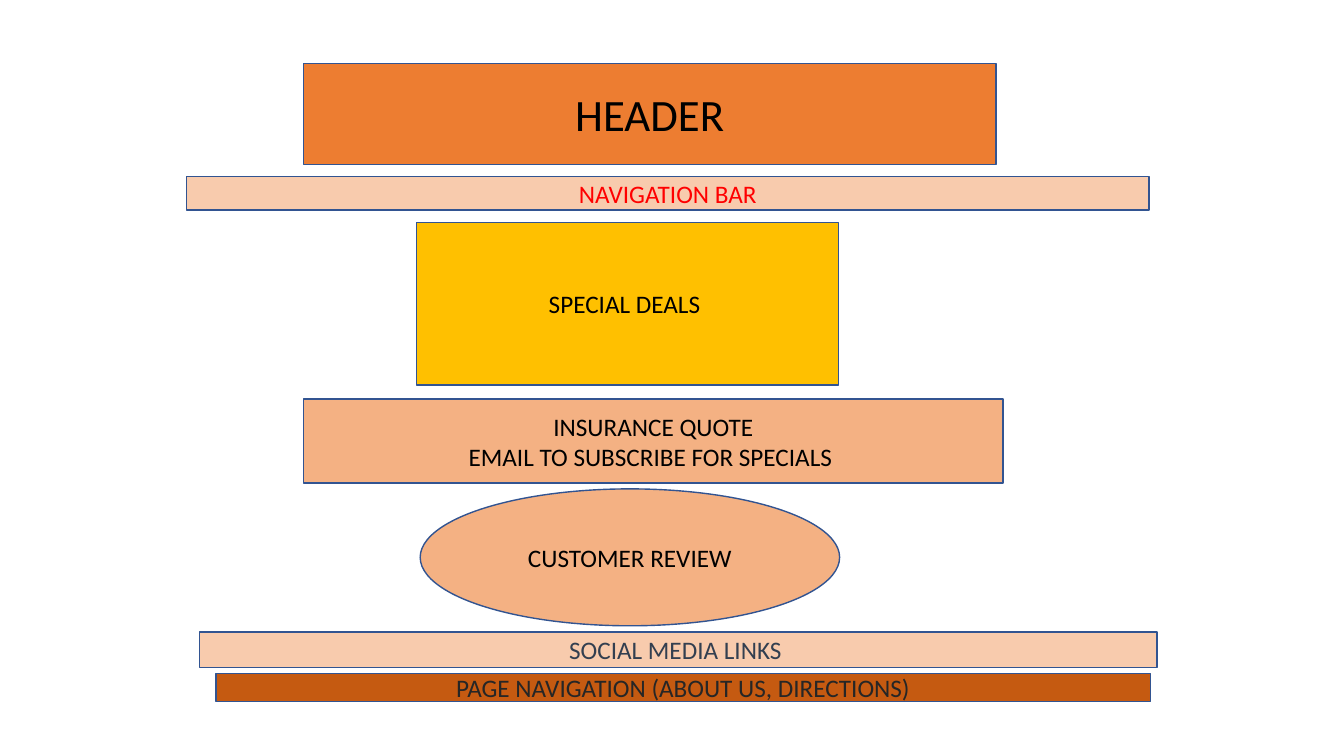
from pptx import Presentation
from pptx.dml.color import RGBColor
from pptx.enum.shapes import MSO_SHAPE
from pptx.enum.text import MSO_ANCHOR, PP_ALIGN
from pptx.util import Cm, Pt

BLACK = "000000"
PEACH = "F8CBAD"
APRICOT = "F4B183"


def color(hex_text):
    return RGBColor.from_string(hex_text)


def add_text(para, text, size=18, ink=BLACK, font="Calibri"):
    para.alignment = PP_ALIGN.CENTER
    span = para.add_run()
    span.text = text
    span.font.name = font
    span.font.size = Pt(size)
    span.font.color.rgb = color(ink)


class Wireframe:
    """Draws outlined page sections on one slide, in centimetres."""

    outline = "325491"
    outline_width = 1

    def __init__(self, page):
        self.page = page

    def section(self, place, fill, lines, kind=MSO_SHAPE.RECTANGLE, **text_format):
        box = self.page.shapes.add_shape(kind, *[Cm(length) for length in place])
        box.shadow.inherit = False
        box.fill.solid()
        box.fill.fore_color.rgb = color(fill)
        box.line.color.rgb = color(self.outline)
        box.line.width = Pt(self.outline_width)
        frame = box.text_frame
        frame.word_wrap = True
        frame.vertical_anchor = MSO_ANCHOR.MIDDLE
        for index, line in enumerate(lines):
            para = frame.add_paragraph() if index else frame.paragraphs[0]
            add_text(para, line, **text_format)

    def oval(self, place, fill, lines, **text_format):
        self.section(place, fill, lines, kind=MSO_SHAPE.OVAL, **text_format)


def main():
    deck = Presentation()
    deck.slide_width, deck.slide_height = Cm(33.87), Cm(19.05)
    wireframe = Wireframe(deck.slides.add_slide(deck.slide_layouts[6]))

    wireframe.section((7.65, 1.6, 17.45, 2.54), "ED7D31", ["HEADER"], size=32)
    wireframe.section((4.7, 4.45, 24.26, 0.84), PEACH, ["NAVIGATION BAR"], ink="FF0000")
    wireframe.section((10.49, 5.61, 10.64, 4.09), "FFC000", ["SPECIAL DEALS "])
    wireframe.section((7.65, 10.06, 17.63, 2.11), APRICOT,
                      ["INSURANCE QUOTE", "EMAIL TO SUBSCRIBE FOR SPECIALS "])
    wireframe.section((5.03, 15.93, 24.13, 0.89), PEACH, ["SOCIAL MEDIA LINKS "],
                      ink="333F50")
    wireframe.section((5.44, 16.97, 23.55, 0.71), "C55A11",
                      ["PAGE NAVIGATION (ABOUT US, DIRECTIONS)"], ink="262626")
    wireframe.oval((10.59, 12.32, 10.57, 3.45), APRICOT, ["CUSTOMER REVIEW"])

    deck.save("out.pptx")


if __name__ == "__main__":
    main()
